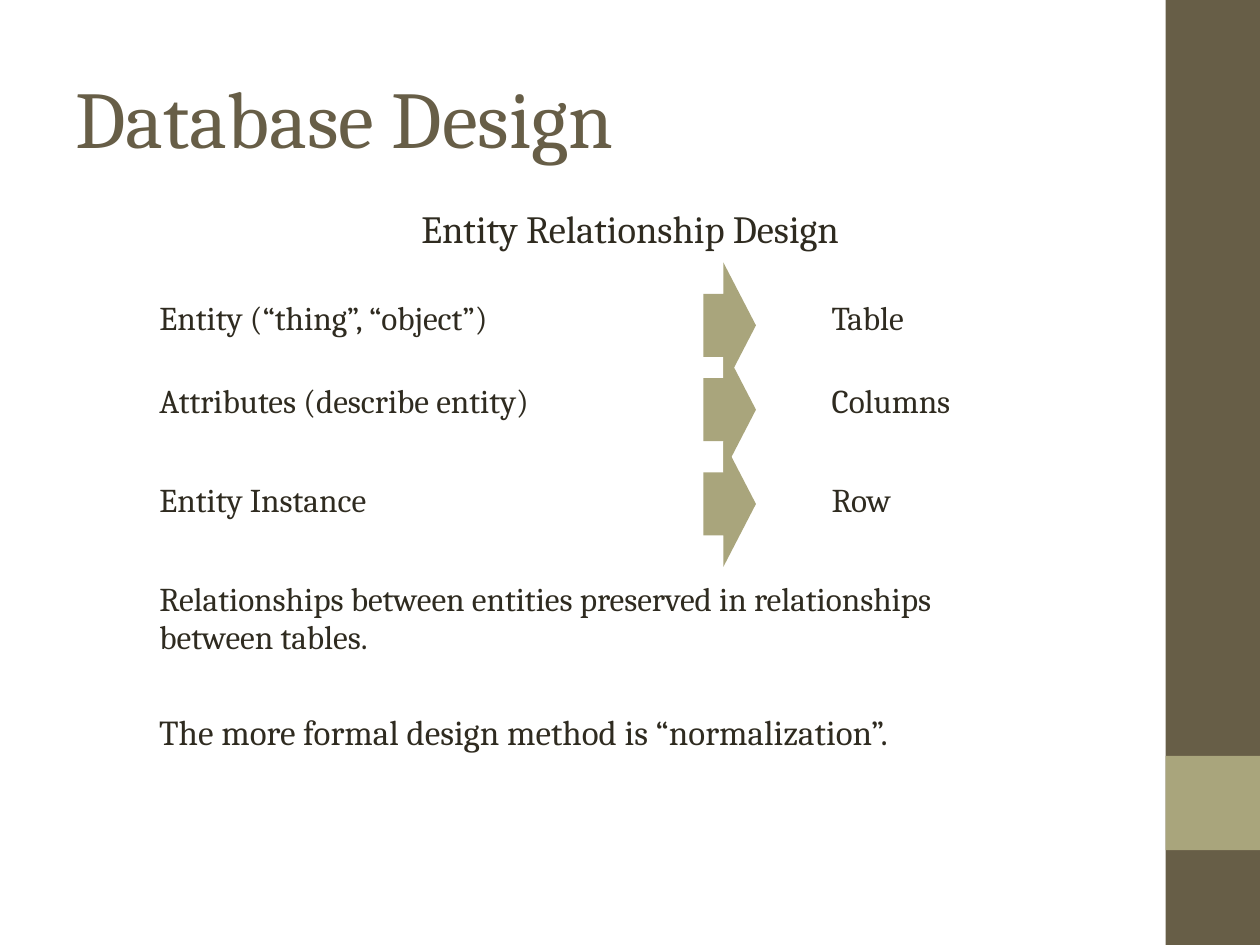
from dataclasses import dataclass

from pptx import Presentation
from pptx.dml.color import RGBColor
from pptx.enum.shapes import MSO_SHAPE
from pptx.enum.text import MSO_ANCHOR, PP_ALIGN
from pptx.util import Cm, Pt


@dataclass(frozen=True)
class Theme:
    font: str = "Cambria"
    dark: RGBColor = RGBColor(0x67, 0x5E, 0x47)
    accent: RGBColor = RGBColor(0xA9, 0xA5, 0x7C)
    ink: RGBColor = RGBColor(0x2F, 0x2B, 0x20)
    title: int = 46
    heading: int = 22
    note: int = 20
    cell: int = 19


class SlideBuilder:
    def __init__(self, page, theme):
        self.page = page
        self.theme = theme

    def style(self, frame, size, color, align=PP_ALIGN.LEFT):
        for para in frame.paragraphs:
            para.alignment = align
            for span in para.runs:
                span.font.name = self.theme.font
                span.font.size = Pt(size)
                span.font.color.rgb = color

    def text(self, text, left, top, width, height, size, color,
             align=PP_ALIGN.LEFT, anchor=MSO_ANCHOR.TOP):
        box = self.page.shapes.add_textbox(Cm(left), Cm(top), Cm(width), Cm(height))
        frame = box.text_frame
        frame.word_wrap = True
        frame.vertical_anchor = anchor
        frame.text = text
        self.style(frame, size, color, align)

    def shape(self, kind, left, top, width, height, color):
        shape = self.page.shapes.add_shape(kind, Cm(left), Cm(top), Cm(width), Cm(height))
        shape.shadow.inherit = False
        shape.fill.solid()
        shape.fill.fore_color.rgb = color
        shape.line.fill.background()
        return shape

    def arrow(self, left, top, width, height):
        arrow = self.shape(MSO_SHAPE.RIGHT_ARROW, left, top, width, height, self.theme.accent)
        arrow.adjustments[0] = 0.5
        arrow.adjustments[1] = 0.62

    def table(self, rows, left, top, widths, heights):
        table = self.page.shapes.add_table(
            len(heights), len(widths), Cm(left), Cm(top), Cm(sum(widths)), Cm(sum(heights))
        ).table
        table.first_row = False
        table.horz_banding = False
        for column, width in zip(table.columns, widths):
            column.width = Cm(width)
        for row, height, texts in zip(table.rows, heights, rows):
            row.height = Cm(height)
            for cell, text in zip(row.cells, texts):
                cell.fill.background()
                cell.text = text
                self.style(cell.text_frame, self.theme.cell, self.theme.ink)
        return table


def main():
    theme = Theme()
    deck = Presentation()
    deck.slide_width = Cm(25.4)
    deck.slide_height = Cm(19.05)
    page = deck.slides.add_slide(deck.slide_layouts[6])
    builder = SlideBuilder(page, theme)

    builder.shape(MSO_SHAPE.RECTANGLE, 23.5, 0, 1.9, 19.05, theme.dark)
    builder.shape(MSO_SHAPE.RECTANGLE, 23.5, 15.24, 1.9, 1.9, theme.accent)

    builder.text("Database Design", 1.27, 0.76, 21.16, 3.18,
                 theme.title, theme.dark, anchor=MSO_ANCHOR.MIDDLE)
    builder.text("Entity Relationship Design", 0, 4.01, 25.4, 1.2,
                 theme.heading, theme.ink, align=PP_ALIGN.CENTER)

    rows = [
        ("Entity (“thing”, “object”)", "", "Table"),
        ("Attributes (describe entity)", "", "Columns"),
        ("Entity Instance", "", "Row"),
        ("Relationships between entities preserved in relationships between tables.", "", ""),
    ]
    mapping = builder.table(rows, 2.96, 5.93, (9.95, 3.6, 4.87), (1.67, 2, 2, 1.95))
    mapping.cell(3, 0).merge(mapping.cell(3, 2))

    for top in (5.29, 6.99, 8.89):
        builder.arrow(14.18, top, 1.06, 2.54)

    builder.text("The more formal design method is “normalization”.",
                 2.96, 14.2, 18.42, 1.11, theme.note, theme.ink)
    deck.save("out.pptx")


if __name__ == "__main__":
    main()
